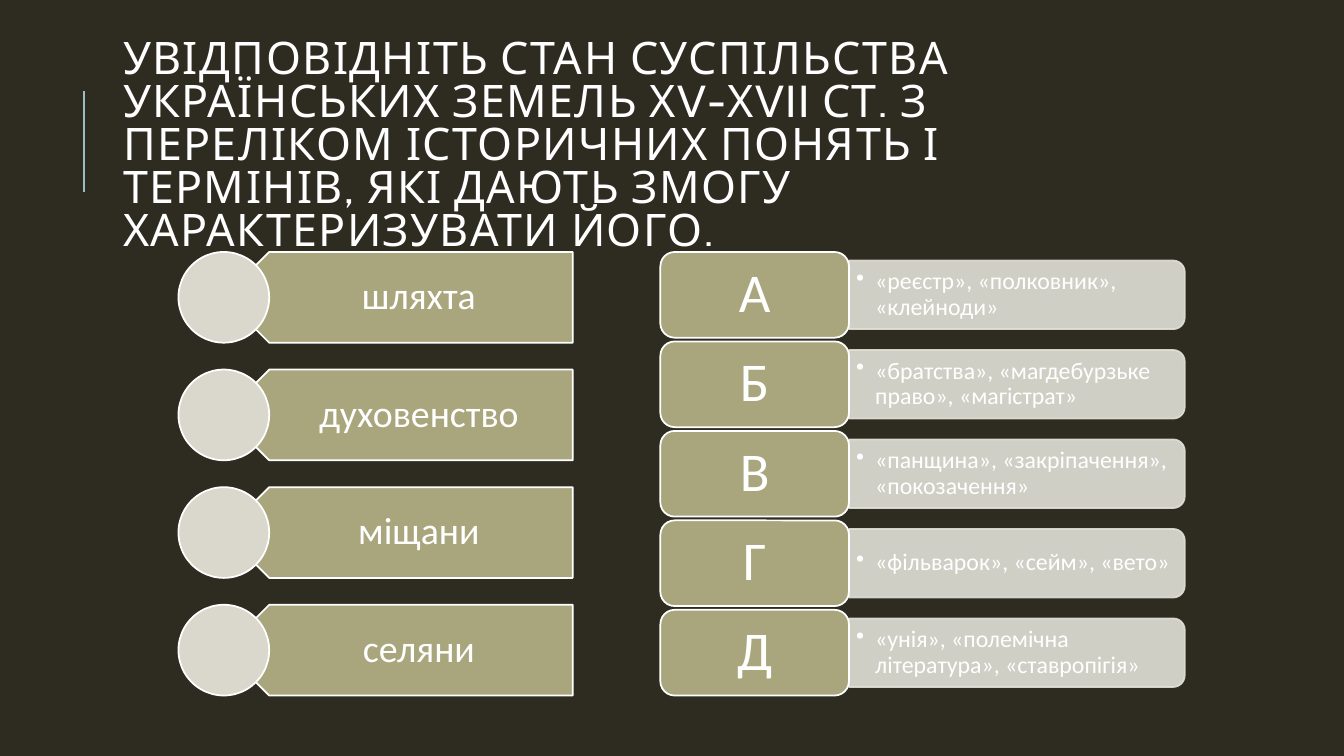
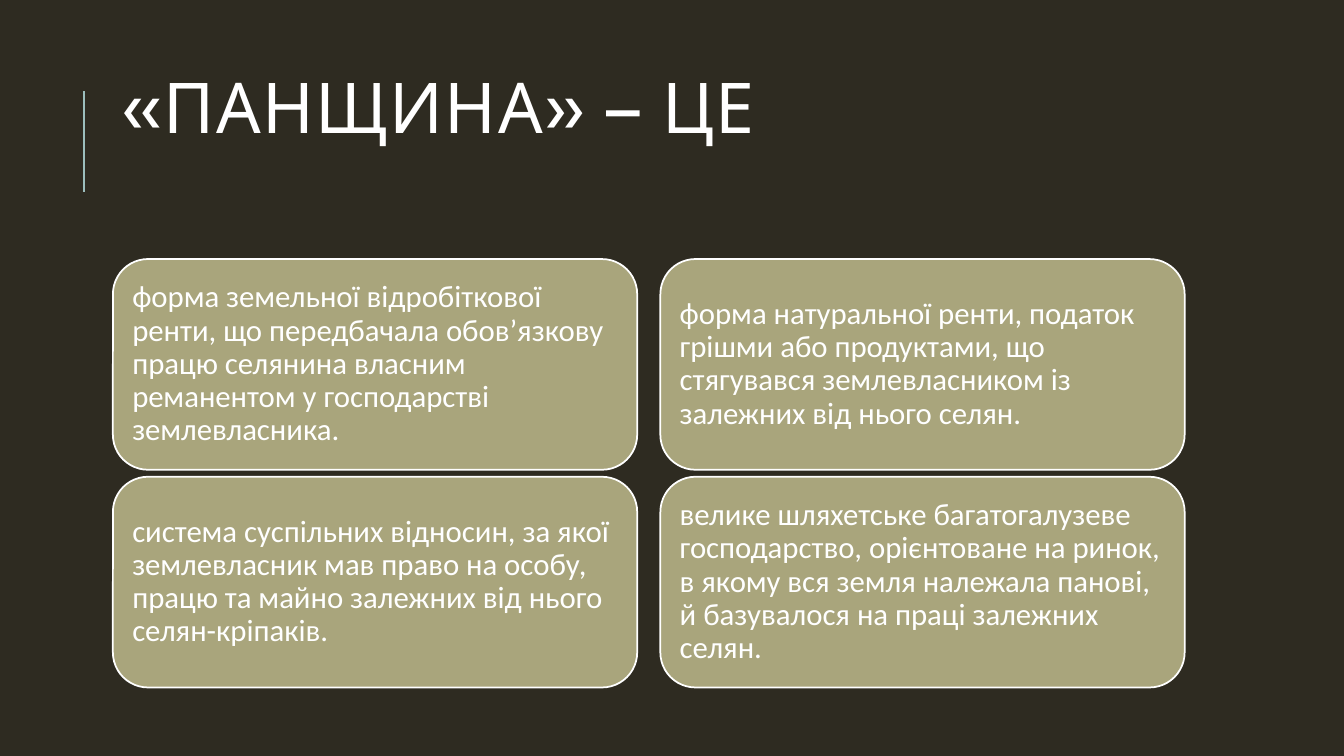
from lxml import etree
from pptx import Presentation
from pptx.dml.color import RGBColor
from pptx.enum.shapes import MSO_CONNECTOR, MSO_SHAPE
from pptx.enum.text import MSO_ANCHOR, MSO_AUTO_SIZE, PP_ALIGN
from pptx.oxml.ns import qn
from pptx.util import Inches, Pt

DARK = RGBColor(0x2E, 0x2B, 0x21)
OLIVE = RGBColor(0xA9, 0xA5, 0x7C)
SAND = RGBColor(0xDA, 0xD8, 0xCC)
PALE = RGBColor(0xE2, 0xE1, 0xD7)
TEAL = RGBColor(0x9C, 0xBE, 0xBD)
WHITE = RGBColor(0xFF, 0xFF, 0xFF)

PENTAGON, ELLIPSE = MSO_SHAPE.PENTAGON, MSO_SHAPE.OVAL
ROUNDED, ROUND_TOP = MSO_SHAPE.ROUNDED_RECTANGLE, MSO_SHAPE.ROUND_2_SAME_RECTANGLE
STRAIGHT = MSO_CONNECTOR.STRAIGHT
LEFT, CENTER = PP_ALIGN.LEFT, PP_ALIGN.CENTER
MIDDLE = MSO_ANCHOR.MIDDLE
NO_FIT = MSO_AUTO_SIZE.NONE

TITLE_BOX = (1.12, 0.64, 10.63, 1.64)
ESTATES = ["шляхта", "духовенство", "міщани", "селяни"]
TERMS = [
    ("А", "«реєстр», «полковник», «клейноди»"),
    ("Б", "«братства», «магдебурзьке право», «магістрат»"),
    ("В", "«панщина», «закріпачення», «покозачення»"),
    ("Г", "«фільварок», «сейм», «вето»"),
    ("Д", "«унія», «полемічна література», «ставропігія»"),
]
DEFINITIONS = [
    "форма земельної відробіткової ренти, що передбачала обов’язкову працю "
    "селянина власним реманентом у господарстві землевласника.",
    "форма натуральної ренти, податок грішми або продуктами, що стягувався "
    "землевласником із залежних від нього селян.",
    "система суспільних відносин, за якої землевласник мав право на особу, "
    "працю та майно залежних від нього селян-кріпаків.",
    "велике шляхетське багатогалузеве господарство, орієнтоване на ринок, в якому "
    "вся земля належала панові, й базувалося на праці залежних селян.",
]


def inches(*values):
    """Convert numbers to lengths."""
    return [Inches(v) for v in values]


def write(sp, text, size, margins, align=LEFT, font="Calibri", spacing=0.9):
    """Fill a shape with one formatted paragraph."""
    tf = sp.text_frame
    sides = ("margin_left", "margin_top", "margin_right", "margin_bottom")
    frame = dict(zip(sides, inches(*margins)))
    frame.update(word_wrap=True, auto_size=NO_FIT, vertical_anchor=MIDDLE)
    for name, value in frame.items():
        setattr(tf, name, value)
    p = tf.paragraphs[0]
    p.alignment, p.line_spacing = align, spacing
    r = p.add_run()
    r.text = text
    for name, value in {"name": font, "size": Pt(size)}.items():
        setattr(r.font, name, value)
    r.font.color.rgb = WHITE


def add_text(s, box, *args, **kwargs):
    """Add a formatted text box."""
    tb = s.shapes.add_textbox(*inches(*box))
    write(tb, *args, **kwargs)
    return tb


def add_figure(s, kind, box, fill, line=WHITE, rotation=0):
    """Add an outlined shape that covers the box once rotated."""
    x, y, w, h = box
    if rotation % 180:
        x, y, w, h = x + (w - h) / 2, y + (h - w) / 2, h, w
    sp = s.shapes.add_shape(kind, *inches(x, y, w, h))
    sp.shadow.inherit = False
    sp.rotation = rotation
    sp.fill.solid()
    sp.fill.fore_color.rgb = fill
    sp.line.color.rgb = line
    sp.line.width = Pt(1.25)
    return sp


def add_slide(prs, title, size, margin_bottom=0.05):
    """Add a slide with its title and accent rule."""
    s = prs.slides.add_slide(prs.slide_layouts[5])
    rule = s.shapes.add_connector(STRAIGHT, *inches(0.83, 1.9, 0.83, 0.9))
    rule.line.color.rgb = TEAL
    rule.line.width = Pt(1.5)
    etree.SubElement(rule.element.spPr, qn("a:effectLst"))
    sp = s.shapes.title
    sp.left, sp.top, sp.width, sp.height = inches(*TITLE_BOX)
    write(sp, title, size, (0.1, 0.05, 0.1, margin_bottom), font="Cabin", spacing=0.8)
    for rpr in sp.element.iter(qn("a:rPr")):
        rpr.set("spc", "100")
    return s


def add_estates(s, box):
    """Stack arrow-shaped labels with a disc at each tip."""
    x, y, w, h = box
    d = 0.9
    step = (h - d) / (len(ESTATES) - 1)
    for i, name in enumerate(ESTATES):
        top = y + i * step
        add_figure(s, PENTAGON, (x + d / 2, top, w - d / 2, d), OLIVE, rotation=180)
        add_text(s, (x + 0.67, top, w - 0.67, d), name, 27, (0.4, 0.11, 0.21, 0.11), CENTER)
        add_figure(s, ELLIPSE, (x, top, d, d), SAND)


def add_term_bar(s, box, text):
    """Draw a translucent bar with one bulleted line of terms."""
    x, y, w, h = box
    bar = add_figure(s, ROUND_TOP, box, PALE, PALE, rotation=90)
    for clr in bar.element.spPr.iter(qn("a:srgbClr")):
        etree.SubElement(clr, qn("a:alpha"), val="90000")
    tb = add_text(s, (x, y + 0.03, w - 0.04, h - 0.06), text, 17, (0.07, 0.04, 0.07, 0.04))
    for ppr in tb.element.iter(qn("a:pPr")):
        ppr.set("marL", str(Inches(0.19)))
        ppr.set("indent", str(-Inches(0.19)))
        etree.SubElement(ppr, qn("a:buChar"), char="•")


def add_terms(s, box):
    """Stack lettered tiles, each followed by its bar of terms."""
    x, y, w, h = box
    tile_w, tile_h, bar_h = 1.87, 0.85, 0.68
    step = (h - tile_h) / (len(TERMS) - 1)
    for i, (letter, text) in enumerate(TERMS):
        top = y + i * step
        bar_top = top + (tile_h - bar_h) / 2
        add_term_bar(s, (x + tile_w, bar_top, w - tile_w, bar_h), text)
        tile = add_figure(s, ROUNDED, (x, top, tile_w, tile_h), OLIVE)
        write(tile, letter, 39, (0.16, 0.08, 0.16, 0.08), CENTER)


def add_definitions(s, box):
    """Lay the definitions out as a grid of two columns."""
    x, y, w, h = box
    card_w, card_h = 5.2, 2.09
    for i, text in enumerate(DEFINITIONS):
        row, col = divmod(i, 2)
        left, top = x + col * (w - card_w), y + row * (h - card_h)
        card = add_figure(s, ROUNDED, (left, top, card_w, card_h), OLIVE)
        write(card, text, 22, (0.09, 0.09, 0.09, 0.09))


def main():
    """Build and save the presentation."""
    prs = Presentation()
    prs.slide_width, prs.slide_height = inches(13.33, 7.5)
    fill = prs.slide_master.background.fill
    fill.solid()
    fill.fore_color.rgb = DARK

    s = add_slide(
        prs,
        "УВІДПОВІДНІТЬ СТАН СУСПІЛЬСТВА УКРАЇНСЬКИХ ЗЕМЕЛЬ ХV-ХVII СТ. З ПЕРЕЛІКОМ "
        "ІСТОРИЧНИХ ПОНЯТЬ І ТЕРМІНІВ, ЯКІ ДАЮТЬ ЗМОГУ ХАРАКТЕРИЗУВАТИ ЙОГО.",
        32,
    )
    add_estates(s, (1.77, 2.5, 3.91, 4.4))
    add_terms(s, (6.55, 2.5, 5.2, 4.4))

    s = add_slide(prs, "«ПАНЩИНА» — ЦЕ", 50, margin_bottom=0.72)
    add_definitions(s, (1.12, 2.57, 10.63, 4.25))

    prs.save("out.pptx")


if __name__ == "__main__":
    main()
